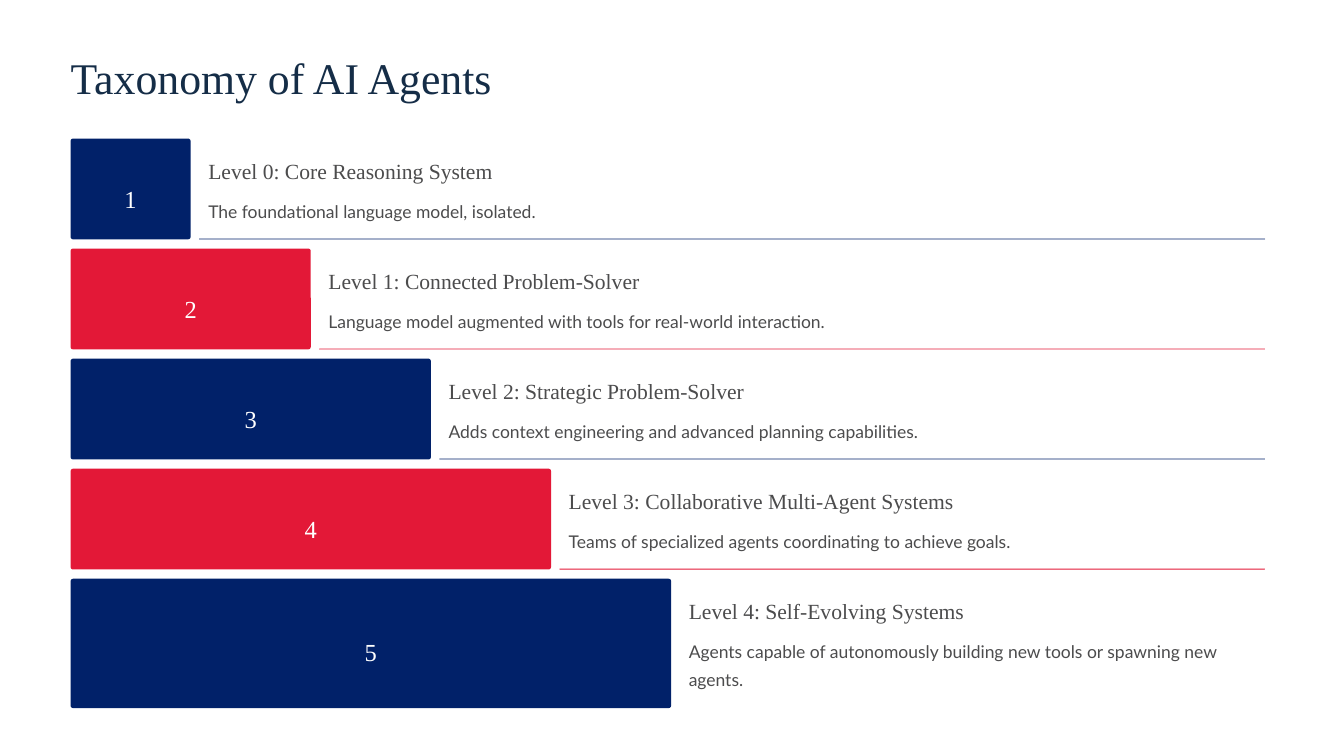
from typing import NamedTuple

from pptx import Presentation
from pptx.dml.color import RGBColor
from pptx.enum.shapes import MSO_SHAPE as Shape
from pptx.enum.text import MSO_ANCHOR as Anchor, MSO_AUTO_SIZE as AutoSize, PP_ALIGN as Align
from pptx.util import Inches, Pt

COLORS = {"navy": "012169", "red": "E31837", "title": "152D47",
          "text": "4C4C4D", "white": "FFFFFF"}
SERIF, SANS = "Times New Roman", "Lato"

# Staircase geometry in inches
LEFT, TOP, RIGHT = 0.84, 1.65, 15.06
STEP_WIDTH, STEP_PITCH = 1.43, 1.31
RADIUS = 0.03


class Style(NamedTuple):
    font: str
    size: float
    color: str
    leading: float
    align: Align = Align.LEFT


class Level(NamedTuple):
    heading: str
    detail: str
    height: float = 1.2
    number_drop: float = 0.42
    detail_height: float = 0.33


TITLE = Style(SERIF, 37.5, "title", 47)
NUMBER = Style(SERIF, 21, "white", 33.5, Align.CENTER)
HEADING = Style(SERIF, 18.5, "text", 23.5)
DETAIL = Style(SANS, 15, "text", 24)

LEVELS = [
    Level("Level 0: Core Reasoning System", "The foundational language model, isolated."),
    Level("Level 1: Connected Problem-Solver",
          "Language model augmented with tools for real-world interaction."),
    Level("Level 2: Strategic Problem-Solver",
          "Adds context engineering and advanced planning capabilities."),
    Level("Level 3: Collaborative Multi-Agent Systems",
          "Teams of specialized agents coordinating to achieve goals."),
    Level("Level 4: Self-Evolving Systems",
          "Agents capable of autonomously building new tools or spawning new agents.",
          1.54, 0.58, 0.67),
]


def write(sp, text: str, style: Style, wrap: bool = True) -> None:
    tf = sp.text_frame
    tf.text = text
    tf.word_wrap = wrap
    tf.auto_size = AutoSize.NONE
    tf.vertical_anchor = Anchor.TOP
    tf.margin_left = tf.margin_right = tf.margin_top = tf.margin_bottom = 0
    p = tf.paragraphs[0]
    p.alignment = style.align
    p.line_spacing = Pt(style.leading)
    p.space_before = Pt(0)
    font = p.runs[0].font
    font.name, font.size = style.font, Pt(style.size)
    font.color.rgb = RGBColor.from_string(COLORS[style.color])


def add_text(s, text: str, style: Style, x: float, y: float, w: float, h: float) -> None:
    write(s.shapes.add_textbox(Inches(x), Inches(y), Inches(w), Inches(h)), text, style)


def add_bar(s, color: str, x: float, y: float, w: float, h: float) -> None:
    sp = s.shapes.add_shape(Shape.ROUNDED_RECTANGLE, Inches(x), Inches(y), Inches(w), Inches(h))
    sp.adjustments[0] = min(0.5, RADIUS / min(w, h))
    sp.shadow.inherit = False
    sp.fill.solid()
    sp.fill.fore_color.rgb = RGBColor.from_string(COLORS[color])
    sp.line.fill.background()


def add_level(s, index: int, level: Level) -> None:
    y = TOP + index * STEP_PITCH
    width = (index + 1) * STEP_WIDTH
    end = LEFT + width
    color = ("navy", "red")[index % 2]
    text_x = end + 0.21
    text_w = RIGHT - 0.1 - text_x

    # Numbered step
    add_bar(s, color, LEFT, y, width, level.height)
    add_text(s, str(index + 1), NUMBER, LEFT + width / 2 - 0.15, y + level.number_drop, 0.3, 0.37)

    # Heading and description
    add_text(s, level.heading, HEADING, text_x, y + 0.21, text_w, 0.33)
    add_text(s, level.detail, DETAIL, text_x, y + 0.66, text_w, level.detail_height)

    # Rule under every level but the last
    if index < len(LEVELS) - 1:
        rule_x = end + 0.1
        add_bar(s, color, rule_x, y + 1.19, RIGHT - rule_x, 0.01)


def main() -> None:
    prs = Presentation()
    prs.slide_width, prs.slide_height = Inches(16), Inches(9)
    s = prs.slides.add_slide(prs.slide_layouts[5])

    # Title
    title = s.shapes.title
    title.left, title.top = Inches(LEFT), Inches(0.58)
    title.width, title.height = Inches(5.23), Inches(0.65)
    write(title, "Taxonomy of AI Agents", TITLE, wrap=False)

    # Levels
    for index, level in enumerate(LEVELS):
        add_level(s, index, level)

    prs.save("out.pptx")


if __name__ == "__main__":
    main()
